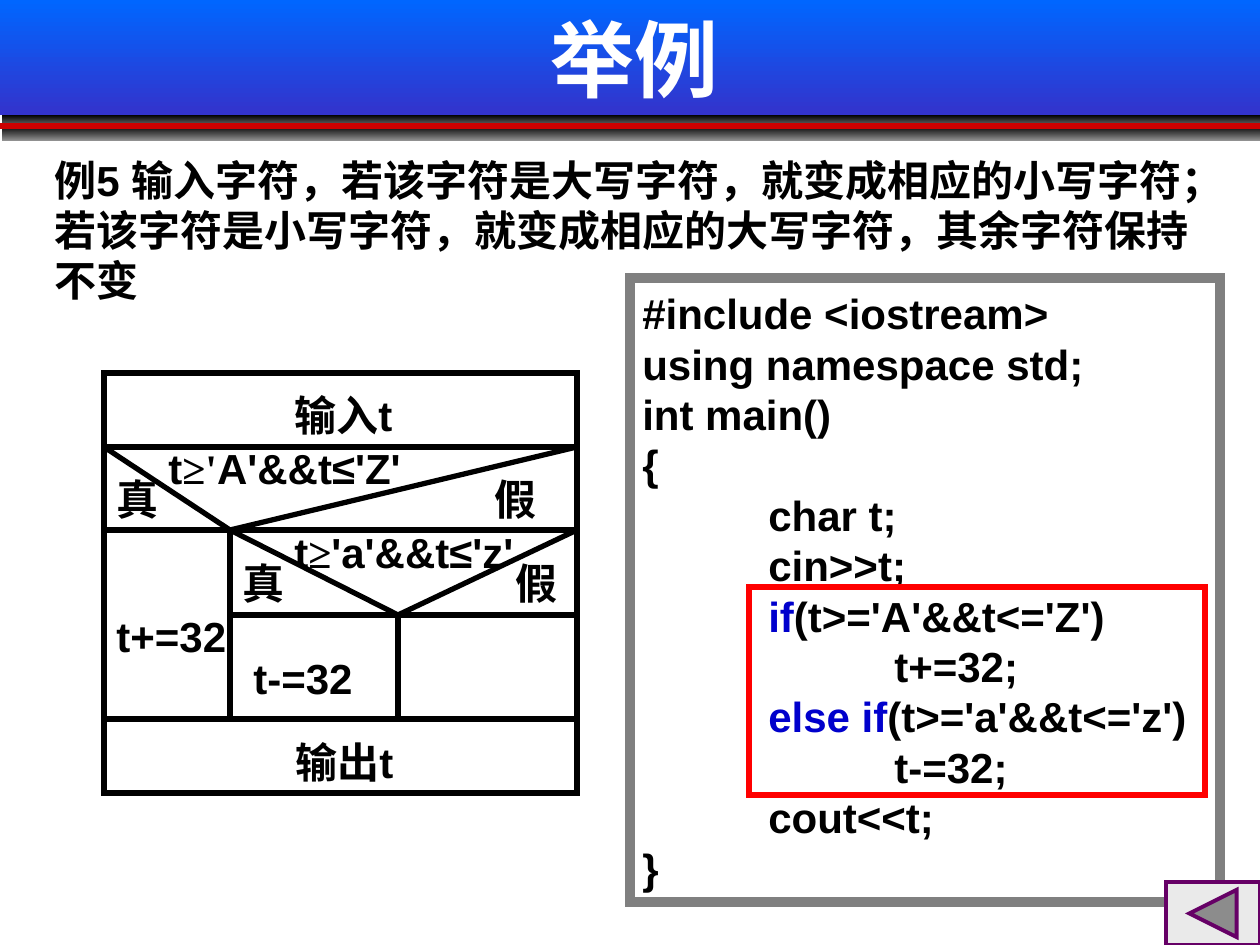
from lxml import etree
from pptx import Presentation
from pptx import util as u
from pptx.dml.color import RGBColor
from pptx.enum import shapes, text
from pptx.oxml.ns import qn

PX = 914400 / 126
BLACK = RGBColor(0, 0, 0)
WHITE = RGBColor(255, 255, 255)
AZURE = RGBColor(0, 0x66, 255)
INDIGO = RGBColor(0x33, 0x33, 0xCC)
ASH = RGBColor(0x92, 0x92, 0x92)
GRAY = RGBColor(0x80, 0x80, 0x80)
PALE = RGBColor(0xEA, 0xEA, 0xEA)
RED = RGBColor(255, 0, 0)
CRIMSON = RGBColor(0xCC, 0, 0)
BLUE = RGBColor(0, 0, 0xCC)
PURPLE = RGBColor(0x66, 0, 0x66)
SANS, SERIF, HAN = "Arial", "Times New Roman", "Noto Sans CJK SC"
KIND = shapes.MSO_SHAPE

deck = Presentation()
deck.slide_width, deck.slide_height = u.Inches(10), u.Inches(7.5)
slide = deck.slides.add_slide(deck.slide_layouts[6])
pool = slide.shapes


def scale(*nums):
    return [round(n * PX) for n in nums]


def write(para, words, font=SANS, tint=BLACK, size=24):
    run = para.add_run()
    run.text = words
    run.font.size, run.font.bold = u.Pt(size), True
    run.font.name, run.font.color.rgb = font, tint
    if any(ord(c) > 12000 for c in words):
        etree.SubElement(run.font._element, qn("a:ea")).set("typeface", HAN)


for left, top, wide, high, start, end in [
    (0, 0, 1260, 115, AZURE, INDIGO),
    (2, 115, 1258, 15, BLACK, ASH),
    (2, 126, 1258, 15, BLACK, ASH),
]:
    bar = pool.add_shape(KIND.RECTANGLE, *scale(left, top, wide, high))
    bar.shadow.inherit = False
    bar.line.fill.background()
    bar.fill.gradient()
    bar.fill.gradient_angle = 270
    for stop, tint in zip(bar.fill.gradient_stops, (start, end)):
        stop.color.rgb = tint

title = pool.add_textbox(*scale(0, 0, 1270, 115)).text_frame
title.word_wrap = True
title.vertical_anchor = text.MSO_ANCHOR.MIDDLE
title.paragraphs[0].alignment = text.PP_ALIGN.CENTER
write(title.paragraphs[0], "举例", tint=WHITE, size=48)

frames = {}
for name, kind, box, edge, thick in [
    ("input", KIND.RECTANGLE, (104, 373, 473, 74), BLACK, 3),
    ("branch", KIND.RECTANGLE, (104, 447, 473, 272), BLACK, 3),
    ("output", KIND.RECTANGLE, (104, 719, 473, 74), BLACK, 3),
    ("code", KIND.RECTANGLE, (630, 278, 590, 624), GRAY, 6),
    ("focus", KIND.RECTANGLE, (749, 587, 456, 208), RED, 3),
    ("back", KIND.ACTION_BUTTON_BACK_OR_PREVIOUS, (1166, 882, 94, 63), PURPLE, 2.25),
]:
    frame = pool.add_shape(kind, *scale(*box))
    frame.shadow.inherit = False
    frame.fill.background()
    frame.line.color.rgb, frame.line.width = edge, u.Pt(thick)
    edging = frame._element.spPr.find(qn("a:ln"))
    etree.SubElement(edging, qn("a:miter")).set("lim", "800000")
    frames[name] = frame
frames["back"].fill.solid()
frames["back"].fill.fore_color.rgb = PALE

left, right = 104, 577
split, fork = 230, 398
top, mid, low, end = 447, 530, 615, 719
rules = [
    (left, mid, right, mid),
    (left, top, split, mid),
    (split, mid, right, top),
    (split, mid, split, end),
    (split, low, right, low),
    (split, mid, fork, low),
    (fork, low, right, mid),
    (fork, low, fork, end),
]
for ends, tint in [((0, 126, 1260, 126), CRIMSON)] + [(r, BLACK) for r in rules]:
    rule = pool.add_connector(shapes.MSO_CONNECTOR.STRAIGHT, *scale(*ends))
    rule.line.color.rgb, rule.line.width = tint, u.Pt(3)
    etree.SubElement(rule._element.spPr, qn("a:effectLst"))

task = "例5 输入字符，若该字符是大写字符，就变成相应的小写字符；若该字符是小写字符，就变成相应的大写字符，其余字符保持不变"
for box, runs in [
    ((42, 148, 1176, 165), [(task, SANS)]),
    ((282, 383, 228, 63), [("输入", HAN), ("t", SANS)]),
    ((156, 436, 315, 63), [("t", SANS), ("≥'", SERIF), ("A'&&t≤'Z'", SANS)]),
    ((104, 604, 147, 63), [("t+=32", SANS)]),
    ((104, 467, 63, 63), [("真", HAN)]),
    ((482, 467, 63, 63), [("假", HAN)]),
    ((282, 520, 315, 63), [("t", SANS), ("≥", SERIF), ("'a'&&t≤'z'", SANS)]),
    ((230, 551, 63, 63), [("真", HAN)]),
    ((503, 551, 63, 63), [("假", HAN)]),
    ((241, 646, 147, 63), [("t-=32", SANS)]),
    ((283, 730, 147, 63), [("输出", HAN), ("t", SANS)]),
]:
    label = pool.add_textbox(*scale(*box)).text_frame
    label.word_wrap = True
    label.paragraphs[0].line_spacing = u.Pt(28.8)
    for words, font in runs:
        write(label.paragraphs[0], words, font)

code = frames["code"].text_frame
code.word_wrap = True
code.vertical_anchor = text.MSO_ANCHOR.MIDDLE
for num, line in enumerate([
    [("#include <iostream>", BLACK)],
    [("using namespace std;", BLACK)],
    [("int main()", BLACK)],
    [("{", BLACK)],
    [("\tchar t;", BLACK)],
    [("\tcin>>t;", BLACK)],
    [("\t", BLACK), ("if", BLUE), ("(t>='A'&&t<='Z')", BLACK)],
    [("\t\tt+=32;", BLACK)],
    [("\t", BLACK), ("else if", BLUE), ("(t>='a'&&t<='z')", BLACK)],
    [("\t\tt-=32;", BLACK)],
    [("\tcout<<t;", BLACK)],
    [("}", BLACK)],
]):
    para = code.add_paragraph() if num else code.paragraphs[0]
    para.alignment = text.PP_ALIGN.LEFT
    para.line_spacing = u.Pt(28.8)
    tabs = etree.SubElement(para._element.get_or_add_pPr(), qn("a:tabLst"))
    for step in (1, 2):
        etree.SubElement(tabs, qn("a:tab"), pos=str(u.Inches(step)), algn="l")
    for words, tint in line:
        write(para, words, tint=tint)

deck.save("out.pptx")
